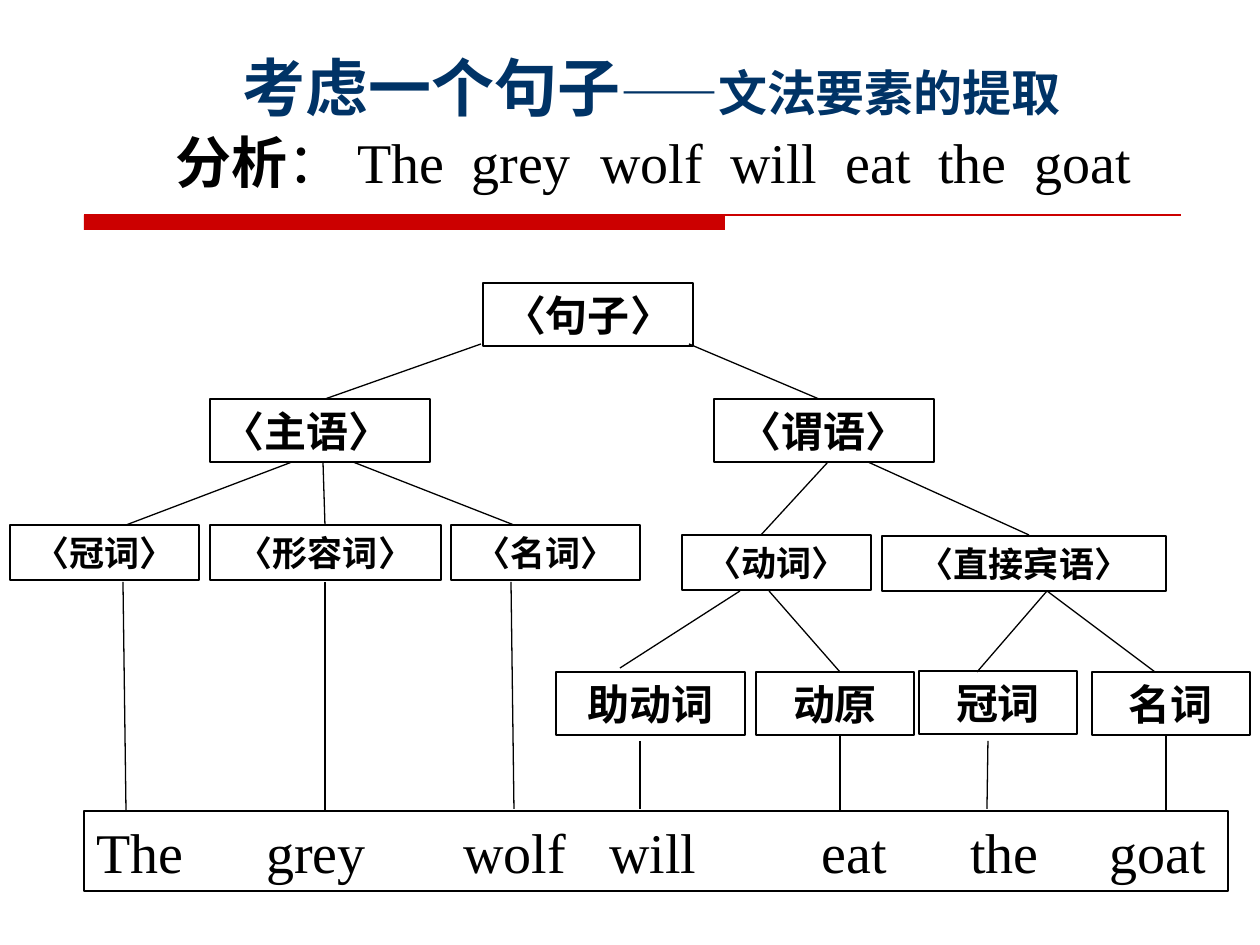
from lxml.etree import SubElement
from pptx import Presentation
from pptx.dml.color import RGBColor
from pptx.enum.shapes import MSO_CONNECTOR, MSO_SHAPE
from pptx.enum.text import MSO_ANCHOR, PP_ALIGN
from pptx.oxml.ns import qn
from pptx.util import Emu, Pt

EMU_PER_PX = 914400 / 126
NAVY = RGBColor(0x00, 0x33, 0x66)
RED = RGBColor(0xCC, 0x00, 0x00)
BLACK = RGBColor(0x00, 0x00, 0x00)
WHITE = RGBColor(0xFF, 0xFF, 0xFF)

TITLE = {"size": Pt(36), "bold": True}
SUBTITLE = {"size": Pt(28), "bold": True}
SENTENCE = {"size": Pt(32), "bold": False}
SENTENCE_LABEL = {"size": Pt(32), "bold": True}
LARGE_NODE = {"size": Pt(24), "bold": True}
SMALL_NODE = {"size": Pt(20), "bold": True}

# Nodes: text, left, top, width, height, format, alignment
NODES = [
    ("〈句子〉", 473, 0, 210, 63, LARGE_NODE, PP_ALIGN.CENTER),
    ("〈主语〉", 200, 116, 220, 63, LARGE_NODE, PP_ALIGN.LEFT),
    ("〈谓语〉", 704, 116, 220, 63, LARGE_NODE, PP_ALIGN.CENTER),
    ("〈冠词〉", 0, 242, 189, 55, SMALL_NODE, PP_ALIGN.CENTER),
    ("〈形容词〉", 200, 242, 231, 55, SMALL_NODE, PP_ALIGN.CENTER),
    ("〈名词〉", 441, 242, 189, 55, SMALL_NODE, PP_ALIGN.CENTER),
    ("〈动词〉", 672, 252, 189, 55, SMALL_NODE, PP_ALIGN.CENTER),
    ("〈直接宾语〉", 872, 253, 284, 55, SMALL_NODE, PP_ALIGN.CENTER),
    ("助动词", 546, 389, 189, 63, LARGE_NODE, PP_ALIGN.CENTER),
    ("动原", 746, 389, 158, 63, LARGE_NODE, PP_ALIGN.CENTER),
    ("冠词", 909, 388, 158, 63, LARGE_NODE, PP_ALIGN.CENTER),
    ("名词", 1082, 389, 158, 63, LARGE_NODE, PP_ALIGN.CENTER),
]
# Branches between nodes: start x, start y, end x, end y
BRANCHES = [
    (471, 61, 315, 116), (679, 61, 809, 116),
    (282, 179, 116, 242), (313, 179, 315, 242), (343, 179, 504, 242),
    (818, 179, 751, 252), (858, 179, 1019, 252),
    (730, 308, 610, 385), (759, 308, 830, 389),
    (1037, 308, 967, 389), (1037, 308, 1145, 389),
]
# Lines from the lowest nodes down to the words
WORD_LINES = [
    (113, 299, 116, 528), (315, 299, 315, 529), (501, 299, 504, 526),
    (630, 458, 630, 526), (830, 453, 830, 527),
    (978, 458, 977, 526), (1156, 453, 1156, 527),
]
WORDS = ["The", "grey", "wolf", "will", "eat", "the", "goat"]


def px(value):
    return Emu(round(value * EMU_PER_PX))


def add_line(slide, ends, color=BLACK):
    line = slide.shapes.add_connector(MSO_CONNECTOR.STRAIGHT, *map(px, ends))
    line.line.color.rgb = color
    line.line.width = Pt(0.75)
    SubElement(line._element.spPr, qn("a:effectLst"))


def add_rectangle(slide, box, fill, outline=None):
    shape = slide.shapes.add_shape(MSO_SHAPE.RECTANGLE, *map(px, box))
    shape.shadow.inherit = False
    shape.fill.solid()
    shape.fill.fore_color.rgb = fill
    if outline is None:
        shape.line.fill.background()
    else:
        shape.line.color.rgb = outline
        shape.line.width = Pt(0.75)
    return shape


def write(shape, runs, color=BLACK, alignment=PP_ALIGN.LEFT,
          anchor=MSO_ANCHOR.MIDDLE, tabs=()):
    frame = shape.text_frame
    frame.word_wrap = True
    frame.vertical_anchor = anchor
    paragraph = frame.paragraphs[0]
    paragraph.alignment = alignment
    if tabs:
        tab_list = SubElement(paragraph._p.get_or_add_pPr(), qn("a:tabLst"))
        for position in tabs:
            SubElement(tab_list, qn("a:tab"), pos=str(px(position)), algn="l")
    for text, text_format in runs:
        run = paragraph.add_run()
        run.text = text
        run.font.name = "Times New Roman"
        run.font.color.rgb = color
        for name, value in text_format.items():
            setattr(run.font, name, value)


def add_header(slide, left, top, width):
    # Title
    title = slide.shapes.add_textbox(px(left + 32), px(top), px(width - 26), px(116))
    write(title, [("考虑一个句子", TITLE), ("——文法要素的提取", SUBTITLE)],
          NAVY, PP_ALIGN.CENTER, MSO_ANCHOR.BOTTOM)
    # Sentence to analyse
    sentence = slide.shapes.add_textbox(px(left + 79), px(top + 107), px(987), px(80))
    write(sentence, [("分析", SENTENCE_LABEL), ("：\t" + "\t".join(WORDS), SENTENCE)],
          tabs=(182, 296, 425, 555, 670, 763, 859))
    # Red rule
    rule_top = top + 201
    add_rectangle(slide, (left, rule_top, 641, 15), RED)
    add_line(slide, (left, rule_top, left + width, rule_top), RED)


def add_syntax_tree(slide, left, top):
    # Nodes
    for text, x, y, width, height, text_format, alignment in NODES:
        node = add_rectangle(slide, (left + x, top + y, width, height), WHITE, BLACK)
        write(node, [(text, text_format)], alignment=alignment)
    # Word row
    word_row = add_rectangle(slide, (left + 74, top + 528, 1144, 80), WHITE, BLACK)
    write(word_row, [("\t".join(WORDS), SENTENCE)],
          tabs=(170, 367, 513, 725, 874, 1013))
    # Lines
    for x1, y1, x2, y2 in BRANCHES + WORD_LINES:
        add_line(slide, (left + x1, top + y1, left + x2, top + y2))


def main():
    presentation = Presentation()
    presentation.slide_width = px(1260)
    presentation.slide_height = px(945)
    slide = presentation.slides.add_slide(presentation.slide_layouts[6])
    add_header(slide, 84, 14, 1097)
    add_syntax_tree(slide, 10, 283)
    presentation.save("out.pptx")


if __name__ == "__main__":
    main()
